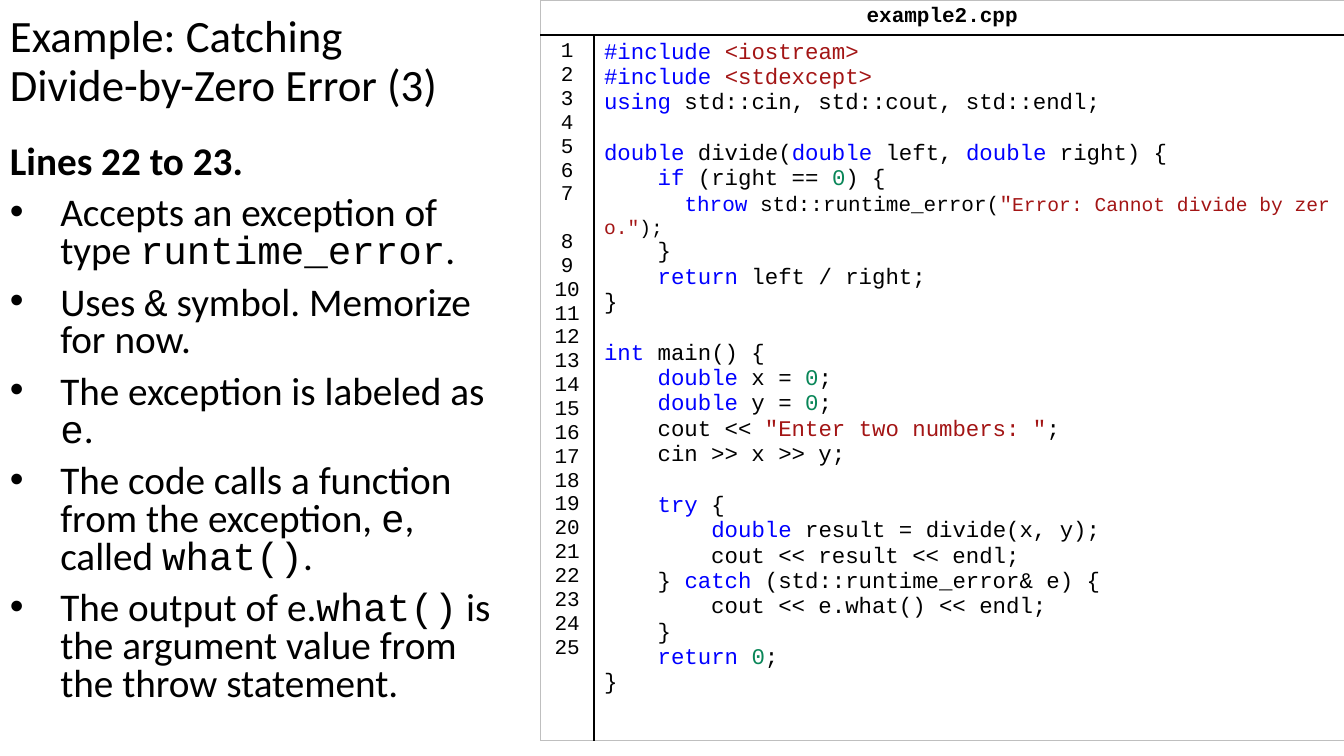
from pptx import Presentation
from pptx.dml.color import RGBColor
from pptx.enum.text import MSO_ANCHOR, PP_ALIGN
from pptx.oxml.ns import qn
from pptx.util import Pt
from lxml import etree

CENTER, BOTTOM, TOP = PP_ALIGN.CENTER, MSO_ANCHOR.BOTTOM, MSO_ANCHOR.TOP
BLACK = RGBColor(0, 0, 0)
BLUE = RGBColor(0x00, 0x00, 0xFF)
RED = RGBColor(0xA3, 0x15, 0x15)
GREEN = RGBColor(0x09, 0x86, 0x58)
GRAY = RGBColor(0xBF, 0xBF, 0xBF)
SANS, MONO = "Calibri", "Courier New"

# Content: ` toggles the code font in the bullets
TITLE = ["Example: Catching ", "Divide-by-Zero Error (3)"]
LEAD = "Lines 22 to 23. "
BULLETS = [
    "Accepts an exception of type `runtime_error`.",
    "Uses `&` symbol. Memorize for now.",
    "The exception is labeled as `e`.",
    "The code calls a function from the exception, `e`, called `what()`.",
    "The output of e.`what()` is the argument value from the throw statement.",
]
FILE_NAME = "example2.cpp"
LINE_COUNT, WRAPPED_LINE = 25, 7

# Code marks: @keyword@ $string$ ^number^ switch colour, § and ¶ set the size
COLOURS = {"@": BLUE, "$": RED, "^": GREEN}
SIZES = {"§": 15, "¶": 14}
CODE = [
    "@#include @$<iostream>$",
    "@#include @$<stdexcept>$",
    "@using@ std::cin, std::cout, std::endl;",
    "\n@double@ divide(@double@ left, @double@ right) {",
    "    @if@ (right == ^0^) {",
    '      §@throw@ std::runtime_error($"¶Error: Cannot divide by zero."$);',
    "    }",
    "    @return@ left / right;",
    "}",
    "\n@int@ main() {",
    "    @double@ x = ^0^;",
    "    @double@ y = ^0^;",
    '    cout << $"Enter two numbers: "$;',
    "    cin >> x >> y;",
    "\n    @try@ {",
    "        @double@ result = divide(x, y);",
    "        cout << result << endl;",
    "    } @catch@ (std::runtime_error& e) {",
    "        cout << e.what() << endl;",
    "    }",
    "    @return @^0^;",
    "}",
]


def add_run(p, text, size, font=SANS, colour=BLACK, bold=False):
    r = p.add_run()
    r.text = text
    r.font.size, r.font.name, r.font.bold = Pt(size), font, bold
    r.font.color.rgb = colour


def add_break(p, size, font):
    p.add_line_break()
    props = etree.SubElement(p._p.findall(qn("a:br"))[-1], qn("a:rPr"), sz=str(size * 100))
    etree.SubElement(props, qn("a:latin"), typeface=font)


def add_code(p, line):
    size, mark, text = 16, "", ""
    for ch in line + "\0":
        if ch not in COLOURS and ch not in SIZES and ch not in "\n\0":
            text += "\u00a0" if ch == " " else ch
            continue
        if text:
            add_run(p, text, size, MONO, COLOURS.get(mark, BLACK))
            text = ""
        if ch in COLOURS:
            mark = "" if mark == ch else ch
        elif ch in SIZES:
            size = SIZES[ch]
        elif ch == "\n":
            add_break(p, size, MONO)


def paragraphs(tf, items):
    for i, item in enumerate(items):
        yield (tf.add_paragraph() if i else tf.paragraphs[0]), item


def add_text_box(left, top, width, height, anchor):
    tf = s.shapes.add_textbox(Pt(left), Pt(top), Pt(width), Pt(height)).text_frame
    tf.word_wrap = True
    tf.vertical_anchor = anchor
    return tf


def set_borders(cell, **edges):
    props = cell._tc.get_or_add_tcPr()
    for i, (edge, colour) in enumerate(edges.items()):
        width = 1.5 if colour == BLACK else 0.5
        ln = etree.Element(qn("a:ln" + edge), w=str(Pt(width)))
        fill = etree.SubElement(ln, qn("a:solidFill"))
        etree.SubElement(fill, qn("a:srgbClr"), val=str(colour))
        props.insert(i, ln)


prs = Presentation()
prs.slide_width, prs.slide_height = Pt(960), Pt(540)
s = prs.slides.add_slide(prs.slide_layouts[6])

# Title
p = add_text_box(0, 0, 359.3, 82.8, BOTTOM).paragraphs[0]
p.line_spacing = 0.9
for i, part in enumerate(TITLE):
    if i:
        add_break(p, 32, SANS)
    add_run(p, part, 32)

# Explanation with bullets
tf = add_text_box(0, 100, 367.2, 418.3, TOP)
for p, text in paragraphs(tf, [LEAD] + BULLETS):
    p.line_spacing, p.space_before = 0.8, Pt(10)
    if text == LEAD:
        add_run(p, text, 28, bold=True)
        continue
    props = p._p.get_or_add_pPr()
    props.set("marL", str(Pt(36)))
    props.set("indent", str(-Pt(36)))
    etree.SubElement(props, qn("a:buFont"), typeface="Arial")
    etree.SubElement(props, qn("a:buChar"), char="•")
    for i, part in enumerate(text.split("`")):
        add_run(p, part, 28, MONO if i % 2 else SANS)

# Code listing table
COLUMNS, ROWS = (38.2, 535.7), (24.2, 476.3)
table = s.shapes.add_table(2, 2, Pt(386.1), 0, Pt(sum(COLUMNS)), Pt(sum(ROWS))).table
table.first_row = table.horz_banding = False
for column, width in zip(table.columns, COLUMNS):
    column.width = Pt(width)
for row, height in zip(table.rows, ROWS):
    row.height = Pt(height)
for col in range(2):
    header, body = table.cell(0, col), table.cell(1, col)
    header.fill.background()
    body.fill.background()
    set_borders(header, L=GRAY, R=GRAY, T=GRAY, B=BLACK)
    set_borders(body, L=BLACK if col else GRAY, R=GRAY if col else BLACK, T=BLACK, B=GRAY)
table.cell(0, 0).merge(table.cell(0, 1))

p = table.cell(0, 0).text_frame.paragraphs[0]
p.alignment = CENTER
add_run(p, FILE_NAME, 15, MONO, bold=True)

for p, number in paragraphs(table.cell(1, 0).text_frame, range(1, LINE_COUNT + 1)):
    p.alignment = CENTER
    if number == WRAPPED_LINE + 1:
        p.space_before = Pt(17)
    add_run(p, str(number), 15, MONO)

for p, line in paragraphs(table.cell(1, 1).text_frame, CODE):
    add_code(p, line)

prs.save("out.pptx")
